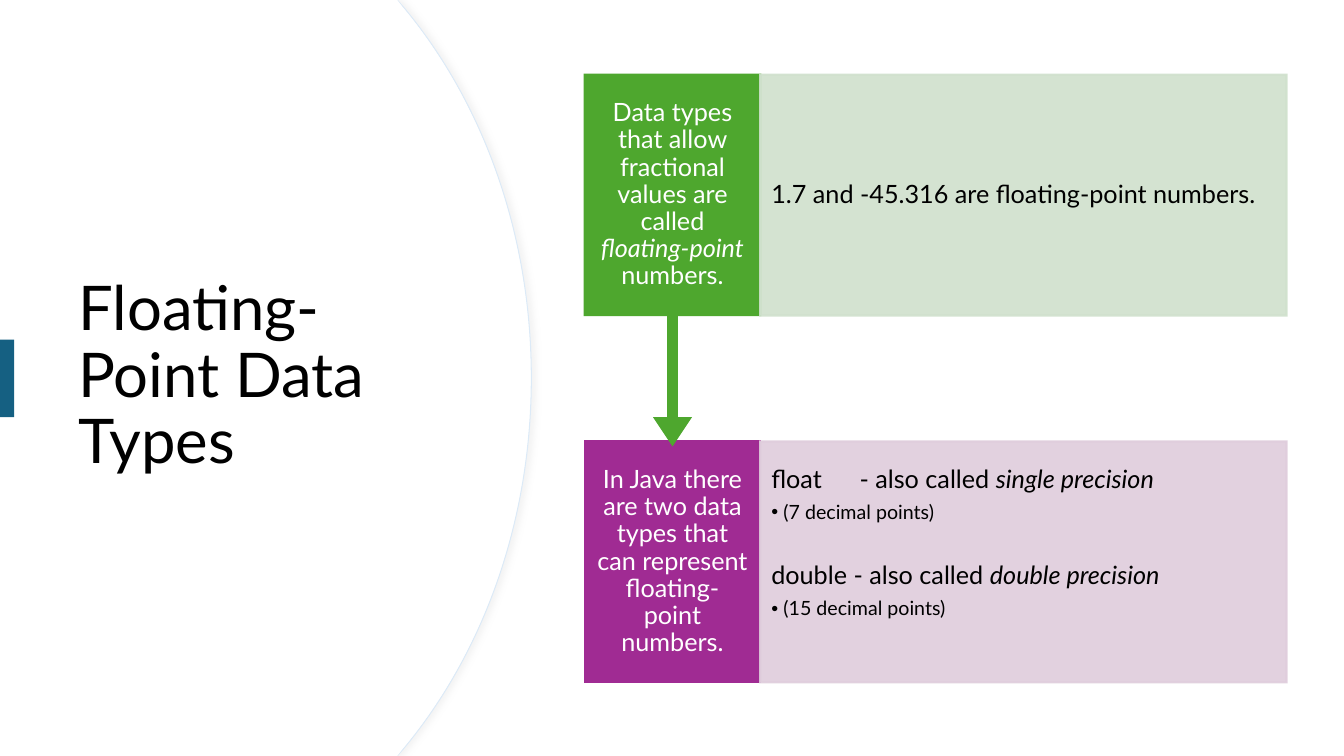
from lxml.etree import SubElement
from pptx import Presentation
from pptx.dml.color import RGBColor
from pptx.enum.shapes import MSO_SHAPE
from pptx.enum.text import MSO_ANCHOR, PP_ALIGN
from pptx.oxml.ns import qn
from pptx.util import Inches, Pt

THEME = {
    "font": "Lato", "dot": "Arial", "title": 44, "body": 18, "small": 14,
    "white": "FFFFFF", "black": "000000", "rim": "DCEAF7", "shade": "D9D9D9",
    "teal": "156082", "green": "4EA72E", "purple": "A02B93",
    "mint": "D0E1CD", "mauve": "DFCDDC",
}

# A paragraph is its kind and its runs; a run is its text and whether it is italic.
TITLE = [("title", [("Floating-Point Data Types", False)])]
ROWS = [
    {"head": [("body", [("Data types that allow fractional values are called ", False),
                        ("floating-point ", True), ("numbers.", False)])],
     "note": [("body", [("1.7 and -45.316 are floating-point numbers.", False)])],
     "dark": "green", "pale": "mint", "arrow": True, "anchor": MSO_ANCHOR.MIDDLE},
    {"head": [("body", [("In Java there are two data types that can represent "
                         "floating-point numbers.", False)])],
     "note": [("body", [("float\t- also called ", False), ("single precision", True)]),
              ("small", [("(7 decimal points)", False)]),
              ("body", [("double - also called ", False), ("double precision", True)]),
              ("small", [("(15 decimal points)", False)])],
     "dark": "purple", "pale": "mauve", "arrow": False, "anchor": MSO_ANCHOR.TOP},
]

LEFT, TOP, PITCH = 5.8, 0.74, 3.64
HEAD, NOTE, HIGH, CALL = 1.74, 5.22, 2.39, 3.67
TAB, HANG = 0.875, 0.12
ARROW = (0.05, 0.1, 0.15, 0.65)
AFTER = {"title": 0, "body": 0.35, "small": 0.15}
GAP = 25.8  # points between one precision and the next
PAD = {"title": (7.2, 3.6), "head": (8.9, 10), "note": (7.9, 18)}
UNITS = 1000  # outline units per inch


def tint(name):
    return RGBColor.from_string(THEME[name])


def paint(shape, fill, line=None, width=1.5):
    shape.shadow.inherit = False
    shape.fill.solid()
    shape.fill.fore_color.rgb = tint(fill)
    if line:
        shape.line.color.rgb = tint(line)
        shape.line.width = Pt(width)
        SubElement(shape._element.spPr.find(qn("a:ln")), qn("a:miter"), lim="800000")
    else:
        shape.line.fill.background()


def fade(shape, share):
    for tag in shape._element.spPr.iter(qn("a:srgbClr")):
        SubElement(tag, qn("a:alpha"), val=str(share * 1000))


def cast(shape):
    """Give the shape a soft shadow to its right."""
    effects = shape._element.spPr.find(qn("a:effectLst"))
    outer = SubElement(effects, qn("a:outerShdw"), blurRad=str(Pt(4)),
                       dist=str(Pt(3)), dir="0", algn="l", rotWithShape="0")
    color = SubElement(outer, qn("a:srgbClr"), val=THEME["shade"])
    SubElement(color, qn("a:alpha"), val="30000")


def block(slide, kind, *box):
    return slide.shapes.add_shape(kind, *map(Inches, box))


def label(slide, *box):
    return slide.shapes.add_textbox(*map(Inches, box))


def write(shape, paras, color, anchor, pad, align=PP_ALIGN.LEFT):
    frame = shape.text_frame
    frame.word_wrap = True
    frame.vertical_anchor = anchor
    side, edge = map(Pt, PAD[pad])
    frame.margin_left = frame.margin_right = side
    frame.margin_top = frame.margin_bottom = edge
    for i, (kind, runs) in enumerate(paras):
        para = frame.add_paragraph() if i else frame.paragraphs[0]
        size = THEME[kind]
        para.alignment = align
        para.line_spacing = 0.9
        para.space_before = Pt(GAP if i and kind == "body" else 0)
        para.space_after = Pt(size * AFTER[kind])
        props = para._p.get_or_add_pPr()
        props.set("defTabSz", str(Inches(TAB)))
        if kind == "small":
            para.level = 1
            props.set("marL", str(Inches(HANG)))
            props.set("indent", str(-Inches(HANG)))
            SubElement(props, qn("a:buFont"), typeface=THEME["dot"])
            SubElement(props, qn("a:buChar"), char="•")
        for words, slant in runs:
            run = para.add_run()
            run.text = words
            run.font.name = THEME["font"]
            run.font.size = Pt(size)
            run.font.italic = slant
            run.font.color.rgb = tint(color)


def curve(shape, first):
    """Turn three straight steps, counted from first, into one cubic curve."""
    steps = list(shape._element.spPr.iter(qn("a:lnTo")))[first:first + 3]
    cubic = steps[0].makeelement(qn("a:cubicBezTo"), {})
    steps[0].addprevious(cubic)
    for step in steps:
        cubic.append(step[0])
        step.getparent().remove(step)


def dome(slide, wide):
    """White panel with a bulging right edge."""
    knee, mid = wide - 1.26, 3.75
    upper = [(knee, 0.08), (wide - 0.48, 1.02), (wide, 2.32)]
    lower = [(x, 2 * mid - y) for x, y in reversed(upper)]
    edge = [(3.94, 0), *upper, (wide, mid), *lower, (3.94, 2 * mid), (0, 2 * mid)]
    pen = slide.shapes.build_freeform(0, 0, scale=Inches(1) / UNITS)
    pen.add_line_segments([(x * UNITS, y * UNITS) for x, y in edge], close=True)
    shape = pen.convert_to_shape()
    for first in (5, 2):
        curve(shape, first)
    return shape


def row(slide, item, top):
    if item["arrow"]:
        back = block(slide, MSO_SHAPE.UP_ARROW_CALLOUT, LEFT, top, HEAD, CALL)
        back.rotation = 180
        for i, value in enumerate(ARROW):
            back.adjustments[i] = value
        head = label(slide, LEFT, top, HEAD, HIGH)
    else:
        back = head = block(slide, MSO_SHAPE.RECTANGLE, LEFT, top, HEAD, HIGH)
    paint(back, item["dark"], item["dark"])
    write(head, item["head"], "white", MSO_ANCHOR.MIDDLE, "head", PP_ALIGN.CENTER)
    note = block(slide, MSO_SHAPE.RECTANGLE, LEFT + HEAD, top, NOTE, HIGH)
    paint(note, item["pale"], item["pale"])
    fade(note, 90)
    write(note, item["note"], "black", item["anchor"], "note")


def main():
    deck = Presentation()
    deck.slide_width, deck.slide_height = Inches(13.33), Inches(7.5)
    slide = deck.slides.add_slide(deck.slide_layouts[6])

    rim = dome(slide, 5.27)
    paint(rim, "white", "rim", 0.75)
    cast(rim)
    paint(dome(slide, 5.26), "white")

    write(label(slide, 0.68, 1.27, 3.94, 4.95), TITLE, "black",
          MSO_ANCHOR.MIDDLE, "title")
    paint(block(slide, MSO_SHAPE.RECTANGLE, 0, 3.37, 0.14, 0.77), "teal")

    # The lower row goes first so that the arrow tip lies over it.
    for i, item in reversed(list(enumerate(ROWS))):
        row(slide, item, TOP + i * PITCH)
    deck.save("out.pptx")


if __name__ == "__main__":
    main()
